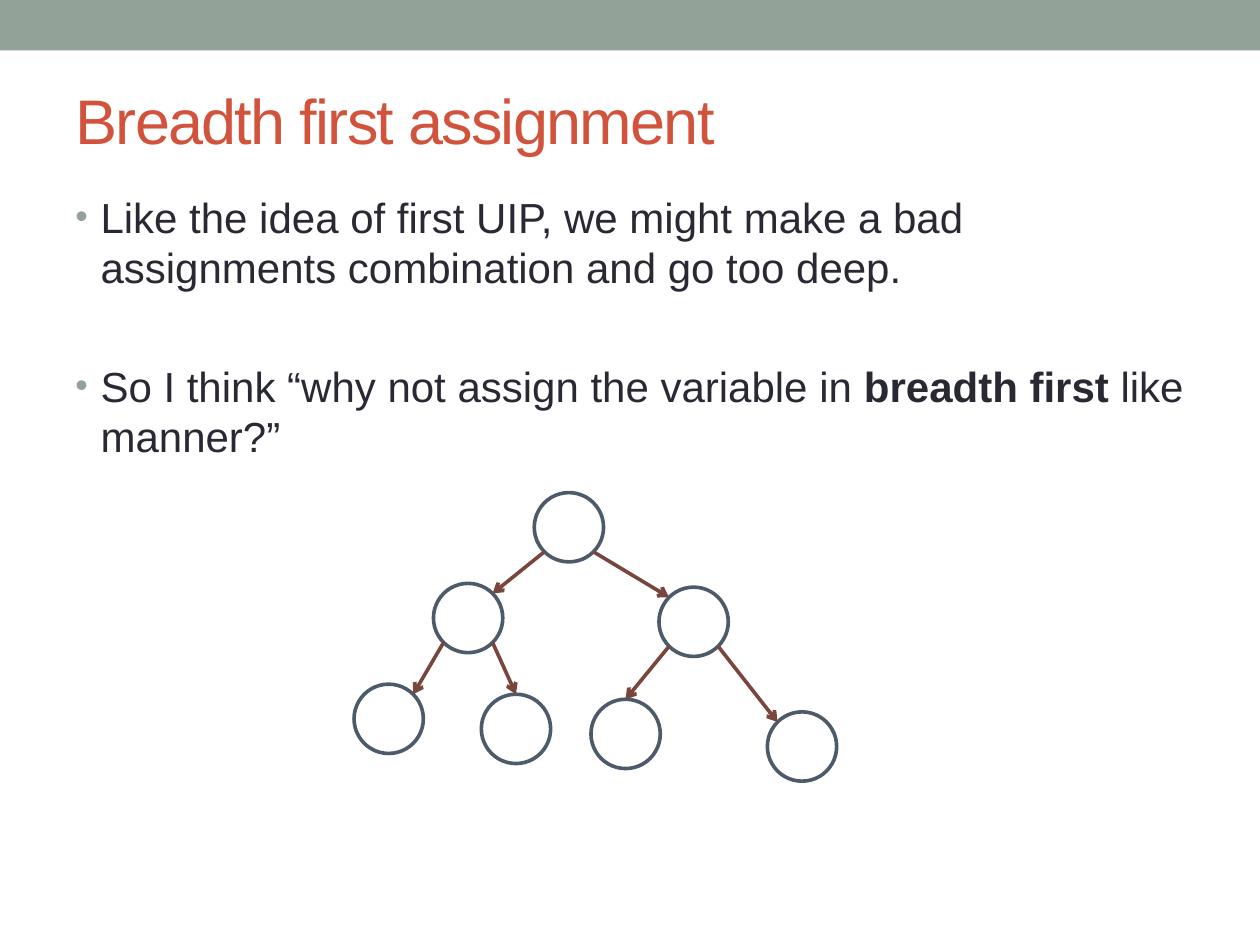
import math

from lxml import etree
from pptx import Presentation
from pptx import util as u
from pptx.dml.color import RGBColor
from pptx.enum import shapes, text
from pptx.oxml.ns import qn

FONT = "Arial"
SAGE, RED, INK = "93A299", "D2533C", "292934"
SLATE, BROWN, WHITE = "4C5A6A", "79463D", "FFFFFF"
DIAMETER = 0.55
LINE_WIDTH = 2.08

NODES = {
    "root": (4.24, 3.91),
    "left": (3.44, 4.63),
    "right": (5.23, 4.66),
    "left_left": (2.81, 5.43),
    "left_right": (3.82, 5.51),
    "right_left": (4.69, 5.55),
    "right_right": (6.09, 5.65),
}
TOP_LEFT, TOP, TOP_RIGHT, BOTTOM_RIGHT, BOTTOM_LEFT = 225, 270, 315, 45, 135
EDGES = [
    ("root", BOTTOM_LEFT, "left", TOP_RIGHT),
    ("root", BOTTOM_RIGHT, "right", TOP_LEFT),
    ("left", BOTTOM_LEFT, "left_left", TOP_RIGHT),
    ("left", BOTTOM_RIGHT, "left_right", TOP),
    ("right", BOTTOM_LEFT, "right_left", TOP),
    ("right", BOTTOM_RIGHT, "right_right", TOP_LEFT),
]


def color(value):
    return RGBColor.from_string(value)


def add_run(paragraph, words, size=24, fill=INK, bold=False, spacing=None):
    run = paragraph.add_run()
    run.text = words
    font = run.font
    font.name, font.size, font.bold = FONT, u.Pt(size), bold
    font.color.rgb = color(fill)
    if spacing is not None:
        font._element.set("spc", str(spacing))


def add_bullet(paragraph, space_before):
    paragraph.space_before = u.Pt(space_before)
    properties = paragraph._p.get_or_add_pPr()
    properties.set("marL", str(u.Inches(0.2)))
    properties.set("indent", str(u.Inches(-0.2)))
    bullet_color = etree.SubElement(properties, qn("a:buClr"))
    etree.SubElement(bullet_color, qn("a:srgbClr"), val=SAGE)
    etree.SubElement(properties, qn("a:buSzPct"), val="85000")
    etree.SubElement(properties, qn("a:buFont"), typeface=FONT)
    etree.SubElement(properties, qn("a:buChar"), char="•")


def add_shape(slide, kind, left, top, width, height, fill, line=None):
    box = [u.Inches(value) for value in (left, top, width, height)]
    shape = slide.shapes.add_shape(kind, *box)
    shape.shadow.inherit = False
    shape.fill.solid()
    shape.fill.fore_color.rgb = color(fill)
    if line:
        shape.line.color.rgb = color(line)
        shape.line.width = u.Pt(LINE_WIDTH)
    else:
        shape.line.fill.background()


def add_title(slide, words):
    title = slide.shapes.title
    title.left, title.top = u.Inches(0.5), u.Inches(0.58)
    title.width, title.height = u.Inches(9), u.Inches(0.73)
    frame = title.text_frame
    frame.vertical_anchor = text.MSO_ANCHOR.MIDDLE
    paragraph = frame.paragraphs[0]
    paragraph.alignment = text.PP_ALIGN.LEFT
    add_run(paragraph, words, size=36, fill=RED, spacing=-100)


def add_body(slide):
    box = slide.shapes.add_textbox(
        u.Inches(0.5), u.Inches(1.47), u.Inches(9), u.Inches(5.62))
    frame = box.text_frame
    frame.word_wrap = True
    idea = frame.paragraphs[0]
    add_bullet(idea, 4)
    add_run(idea, "Like the idea of first UIP, we might make a bad "
                  "assignments combination and go too deep.")
    question = frame.add_paragraph()
    add_bullet(question, 39)
    add_run(question, "So I think “why not assign the variable in ")
    add_run(question, "breadth first", bold=True)
    add_run(question, " like manner?”")


def rim_point(node, degrees):
    left, top = NODES[node]
    radius = DIAMETER / 2
    angle = math.radians(degrees)
    return (u.Inches(left + radius + radius * math.cos(angle)),
            u.Inches(top + radius + radius * math.sin(angle)))


def add_arrow(slide, start, end):
    connector = slide.shapes.add_connector(
        shapes.MSO_CONNECTOR.STRAIGHT, *start, *end)
    connector.line.color.rgb = color(BROWN)
    connector.line.width = u.Pt(LINE_WIDTH)
    etree.SubElement(connector.line._get_or_add_ln(), qn("a:tailEnd"), type="arrow")
    etree.SubElement(connector._element.spPr, qn("a:effectLst"))


def add_tree(slide):
    for left, top in NODES.values():
        add_shape(slide, shapes.MSO_SHAPE.OVAL, left, top,
                  DIAMETER, DIAMETER, WHITE, SLATE)
    for parent, exit_angle, child, entry_angle in EDGES:
        add_arrow(slide, rim_point(parent, exit_angle),
                  rim_point(child, entry_angle))


def main():
    presentation = Presentation()
    presentation.slide_width = u.Inches(10)
    presentation.slide_height = u.Inches(7.5)
    slide = presentation.slides.add_slide(presentation.slide_layouts[5])
    add_shape(slide, shapes.MSO_SHAPE.RECTANGLE, 0, 0, 10, 0.4, SAGE)
    add_title(slide, "Breadth first assignment")
    add_body(slide)
    add_tree(slide)
    presentation.save("out.pptx")


if __name__ == "__main__":
    main()
